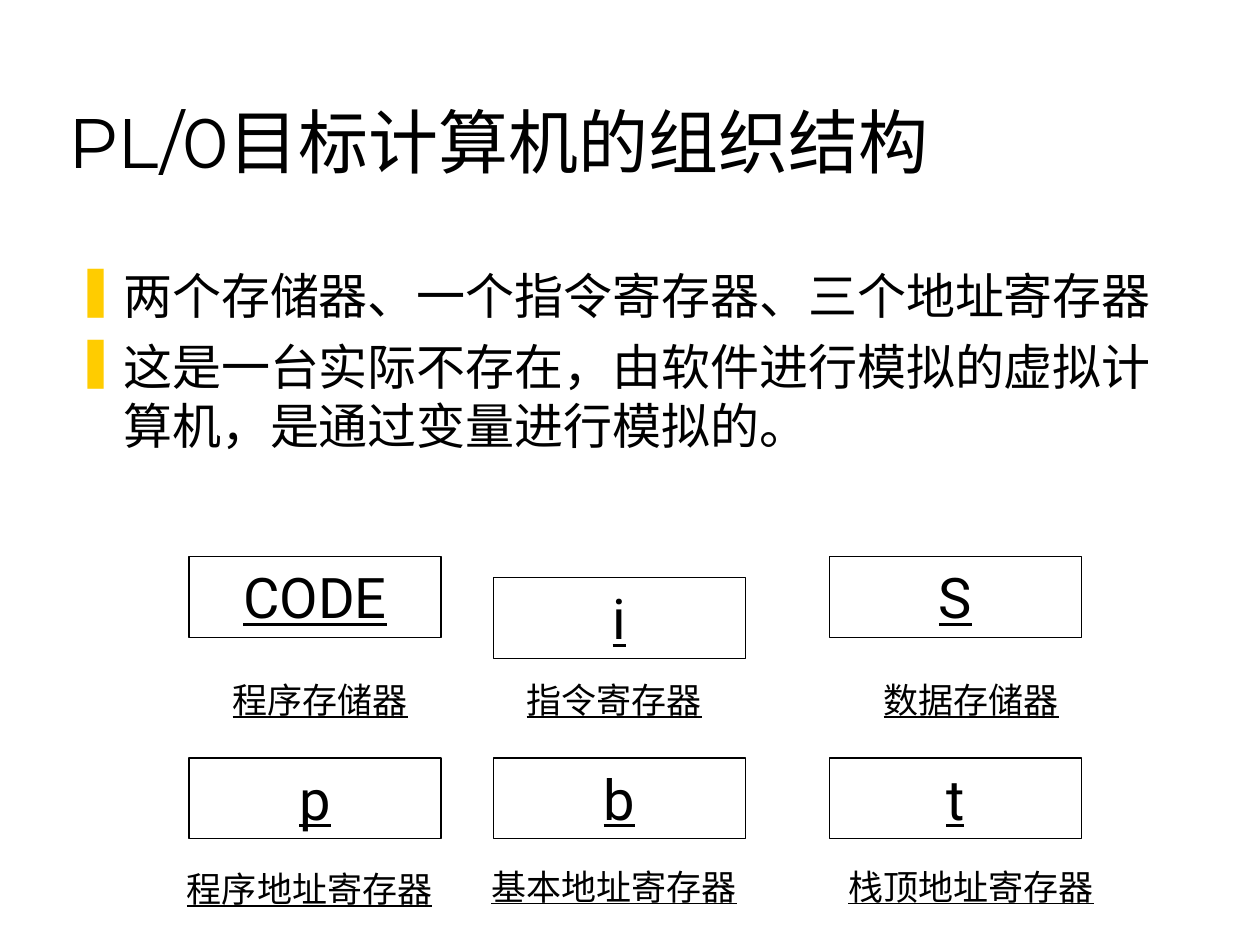
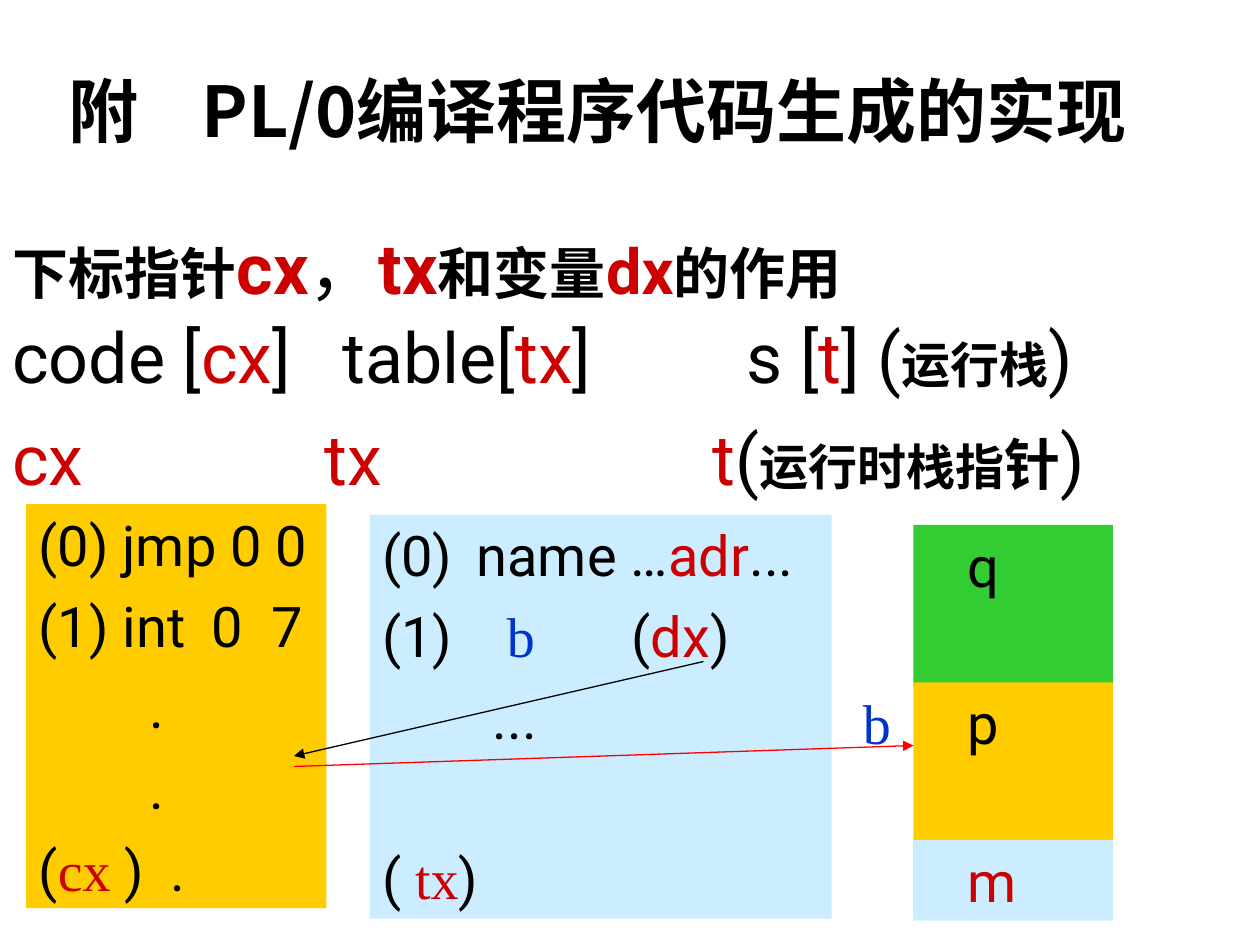
from collections import namedtuple
from lxml.etree import SubElement as Sub
from pptx import Presentation
from pptx.dml.color import RGBColor
from pptx.enum.shapes import MSO_CONNECTOR as Link, MSO_SHAPE as Form
from pptx.enum.text import MSO_ANCHOR as Anchor, PP_ALIGN as Align
from pptx.oxml.ns import qn
from pptx.util import Inches, Pt

COLS, ROWS = 120, 90
WIDE, HIGH = Inches(10), Inches(7.5)
BLACK, RED, BLUE = "000000", "CC0000", "0033CC"
GOLD, SKY, GREEN, ARROW = "FFCC00", "CCECFF", "33CC33", "FF0000"
SANS, SERIF, HAN, HEAD = "Roboto", "Times New Roman", "Noto Sans CJK SC", "Montserrat"

Run = namedtuple("Run", "text size color font bold under",
                 defaults=(32, BLACK, SANS, False, False))
Para = namedtuple("Para", "runs before tabs line bullet align",
                  defaults=(0, (), None, None, Align.LEFT))


def rgb(code):
    """Turn a hex string into a colour."""
    return RGBColor.from_string(code)


def spot(col, row):
    """Turn a grid place into slide lengths."""
    return round(WIDE * col / COLS), round(HIGH * row / ROWS)


def mark(para, sign):
    """Give a paragraph a gold bullet and a hanging indent."""
    props = para._p.get_or_add_pPr()
    props.set("marL", str(Inches(0.38)))
    props.set("indent", str(-Inches(0.38)))
    Sub(Sub(props, qn("a:buClr")), qn("a:srgbClr"), val=GOLD)
    Sub(props, qn("a:buChar"), char=sign)


def stops(para, tabs):
    """Set left tab stops, given in inches."""
    items = Sub(para._p.get_or_add_pPr(), qn("a:tabLst"))
    for tab in tabs:
        Sub(items, qn("a:tab"), pos=str(Inches(tab)), algn="l")


def write(shape, paras, anchor=Anchor.TOP, wrap=True):
    """Fill a shape with paragraphs, run by run."""
    frame = shape.text_frame
    frame.word_wrap = wrap
    frame.vertical_anchor = anchor
    for num, item in enumerate(paras):
        para = frame.add_paragraph() if num else frame.paragraphs[0]
        if item.bullet:
            mark(para, item.bullet)
        if item.tabs:
            stops(para, item.tabs)
        para.alignment = item.align
        para.space_before = Pt(item.before)
        if item.line:
            para.line_spacing = item.line
        for part in item.runs:
            run = para.add_run()
            run.text = part.text
            font = run.font
            font.size, font.name = Pt(part.size), part.font
            font.bold, font.underline = part.bold, part.under
            font.color.rgb = rgb(part.color)
            Sub(run._r.get_or_add_rPr(), qn("a:ea"), typeface=part.font)


def label(slide, box, paras, **style):
    """Add a text box on the grid."""
    shape = slide.shapes.add_textbox(*spot(*box[:2]), *spot(*box[2:]))
    write(shape, paras, **style)


def block(slide, box, paras, fill=None, inset=0.1):
    """Add a filled block, or a framed one when no fill is given."""
    shape = slide.shapes.add_shape(Form.RECTANGLE, *spot(*box[:2]), *spot(*box[2:]))
    shape.shadow.inherit = False
    if fill:
        shape.fill.solid()
        shape.fill.fore_color.rgb = rgb(fill)
        shape.line.fill.background()
    else:
        shape.fill.background()
        shape.line.color.rgb = rgb(BLACK)
        shape.line.width = Pt(0.75)
    shape.text_frame.margin_left = Inches(inset)
    write(shape, paras)


def arrow(slide, start, end, color):
    """Draw a thin line with a head at its end."""
    line = slide.shapes.add_connector(Link.STRAIGHT, *spot(*start), *spot(*end))
    line.line.color.rgb = rgb(color)
    line.line.width = Pt(0.75)
    Sub(line.line._get_or_add_ln(), qn("a:tailEnd"), type="triangle")
    Sub(line._element.spPr, qn("a:effectLst"))


def title(slide, box, text, font, bold=False, tabs=()):
    """Place the slide title on the floor of its box."""
    runs = [Run(text, 40, BLACK, font, bold)]
    label(slide, box, [Para(runs, tabs=tabs)], anchor=Anchor.BOTTOM)


def points(slide, box, texts):
    """List the bulleted points."""
    label(slide, box, [Para([Run(text, 28)], 7 if num else 0, bullet="❚")
                       for num, text in enumerate(texts)])


def store(slide, box, name, note, drop):
    """Draw one framed register with its caption."""
    left, top, wide, high = box
    shift, fall = drop
    block(slide, box, [Para([Run(name, under=True)], align=Align.CENTER)])
    label(slide, (left + shift, top + fall, 29, 5.3),
          [Para([Run(note, 20, under=True)], align=Align.CENTER)])


def bank(slide, box):
    """Lay out the two rows of registers."""
    left, top = box
    cells = [
        (0, 0, "CODE", "程序存储器", (-2, 11)),
        (29, 2, "i", "指令寄存器", (-3, 9)),
        (61, 0, "S", "数据存储器", (-1, 11)),
        (0, 19.2, "p", "程序地址寄存器", (-3, 9.8)),
        (29, 19.2, "b", "基本地址寄存器", (-3, 9.6)),
        (61, 19.2, "t", "栈顶地址寄存器", (-1, 9.6)),
    ]
    for col, row, name, note, drop in cells:
        store(slide, (left + col, top + row, 24, 7.7), name, note, drop)


def heads(slide, box):
    """Write the lines that name the pointers."""
    def big(text, color=BLACK, bold=False):
        return Run(text, 40, color, bold=bold)

    label(slide, box, [
        Para([Run("下标指针", font=HAN, bold=True), big("cx", RED, True), big("，"),
              big("tx", RED, True), Run("和变量", bold=True),
              Run("dx", 36, RED, bold=True), Run("的作用", bold=True)], line=0.85),
        Para([big("code ["), big("cx", RED), big("]\ttable["), big("tx", RED),
              big("]\ts ["), big("t", RED), big("] ("),
              Run("运行栈", 28, bold=True), big(")")], 10, (2.62, 5.83), 0.85),
        Para([big("cx\ttx\tt", RED), big("("), Run("运行时栈指", 28, bold=True),
              Run("针", font=HAN, bold=True), big(")")], 10, (2.48, 5.56)),
    ])


def code(slide, box):
    """Show the generated code."""
    dot = Para([Run("\t.")], 8, (0.88,))
    block(slide, box, [
        Para([Run("(0) jmp 0 0")]),
        Para([Run("(1) int\t0\t7")], 8, (1.37, 1.85)),
        dot, dot,
        Para([Run("("), Run("cx ", color=RED, font=SERIF), Run(")\t.")], 8, (1.05,)),
    ], GOLD)


def table(slide, box):
    """Show the symbol table."""
    block(slide, box, [
        Para([Run("(0)\tname …"), Run("adr", color=RED), Run("...")], tabs=(0.75,)),
        Para([Run("(1)\t"), Run("b", color=BLUE, font=SERIF), Run("\t("),
              Run("dx", color=RED), Run(")")], 8, (0.99, 1.98)),
        Para([Run("\t...")], 8, (0.88,)),
        Para([Run("("), Run(" tx", color=RED, font=SERIF), Run(")")], 53.5),
    ], SKY)


def stack(slide, box):
    """Show the run-time stack, one frame under another."""
    left, top, wide = box
    frames = [(0, 15.4, "q", BLACK, GREEN), (15, 21.7, "p", BLACK, GOLD),
              (30, 7.7, "m", RED, SKY)]
    for row, high, name, color, fill in frames:
        block(slide, (left, top + row, wide, high),
              [Para([Run(name, color=color)])], fill, 0.43)
    label(slide, (left - 6, top + 15, 5, 7.7),
          [Para([Run("b", color=BLUE, font=SERIF)])], wrap=False)


def machine(slide):
    """Build the slide on the target machine."""
    title(slide, (5.3, 3, 102, 15), "PL/0目标计算机的组织结构", HEAD)
    points(slide, (6, 24.7, 107.3, 54.7), [
        "两个存储器、一个指令寄存器、三个地址寄存器",
        "这是一台实际不存在，由软件进行模拟的虚拟计算机，是通过变量进行模拟的。",
    ])
    bank(slide, (18, 53))


def output(slide):
    """Build the slide on code generation."""
    title(slide, (5.3, 6, 114.7, 9), "附\tPL/0编译程序代码生成的实现", HAN, True, (1.06,))
    heads(slide, (0, 22, COLS, 68))
    code(slide, (2.5, 48, 28.6, 38.5))
    table(slide, (35.2, 49, 44, 38.5))
    stack(slide, (87, 50, 19))
    arrow(slide, (67, 63), (28, 72), BLACK)
    arrow(slide, (28, 73), (87, 71), ARROW)


def main():
    """Build and save the deck."""
    deck = Presentation()
    deck.slide_width, deck.slide_height = WIDE, HIGH
    for build in (machine, output):
        build(deck.slides.add_slide(deck.slide_layouts[6]))
    deck.save("out.pptx")


if __name__ == "__main__":
    main()
